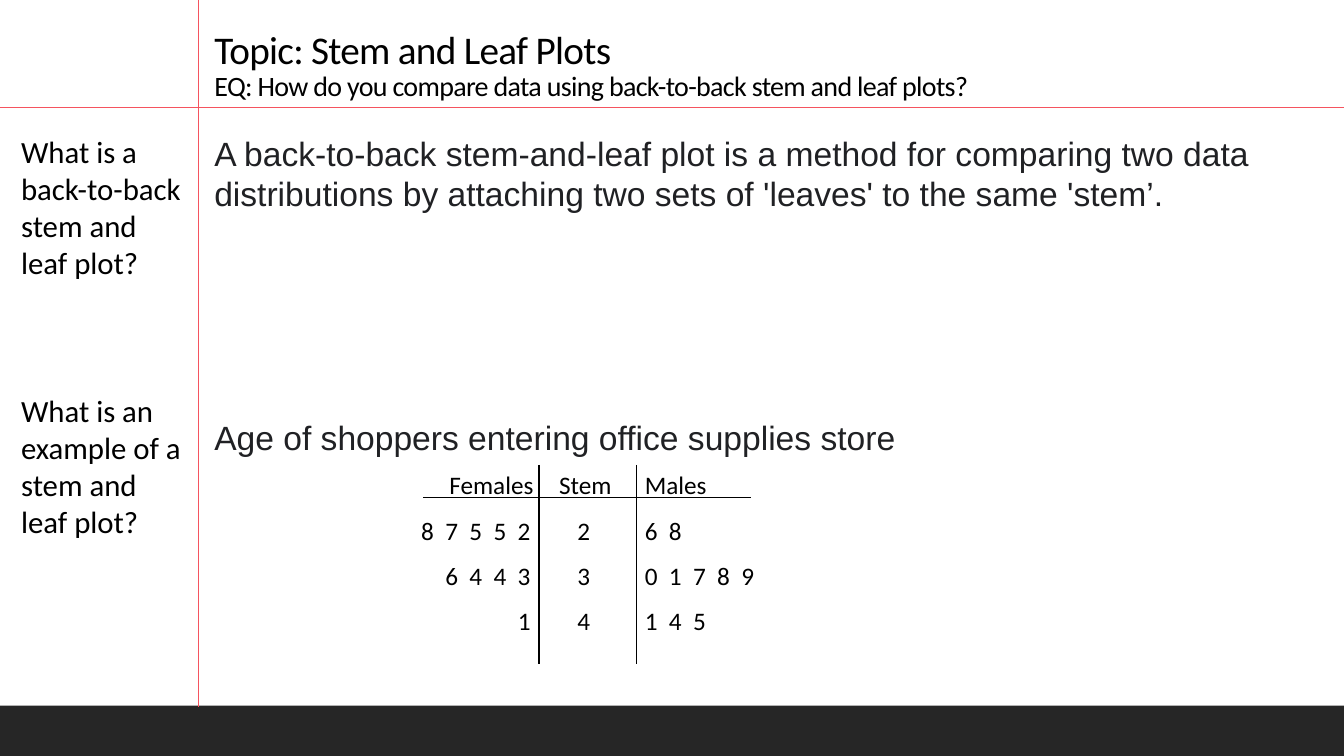
"""Build a notes slide on back-to-back stem and leaf plots."""
from dataclasses import dataclass

from lxml import etree
from pptx import Presentation
from pptx import util as u
from pptx.dml.color import RGBColor
from pptx.enum import shapes, text
from pptx.oxml import ns

COLORS = {"ink": "000000", "body": "202124", "margin": "F5535F", "footer": "262626"}
WIDTH, HEIGHT = 960, 540
PLOT_TABS = ((81, "r"), (118, "ctr"), (160.5, "l"))


@dataclass
class Line:
    x1: float
    y1: float
    x2: float
    y2: float
    color: str


@dataclass
class Notes:
    left: float
    top: float
    width: float
    height: float
    paragraphs: tuple[str, ...]
    font: str
    size: float
    color: str
    gap: float


@dataclass
class PlotRow:
    females: str
    stem: str
    males: str
    line_spacing: float = 1.5
    tracking: float = 2.03


LINES = (
    Line(142, 0, 142, 505, "margin"),
    Line(0, 77, WIDTH, 77, "margin"),
    Line(385, 332, 385, 474.5, "ink"),
    Line(454.5, 332, 454.5, 474.5, "ink"),
    Line(302.5, 355.5, 536.5, 355.5, "ink"),
)
NOTES = (
    Notes(8, 91.5, 134, 300,
          ("What is a back-to-back stem and leaf plot?",
           "What is an example of a stem and leaf plot?"),
          "Calibri", 22, "ink", 79.5),
    Notes(146, 91.5, 770, 262,
          ("A back-to-back stem-and-leaf plot is a method for comparing two data "
           "distributions by attaching two sets of 'leaves' to the same 'stem’.",
           "Age of shoppers entering office supplies store"),
          "Arial", 24, "body", 145),
)
PLOT = (
    PlotRow("Females", "Stem", "Males", 1, 0),
    PlotRow("8 7 5 5 2", "2", "6 8"),
    PlotRow("6 4 4 3", "3", "0 1 7 8 9"),
    PlotRow("1", "4", "1 4 5"),
)


def rgb(name: str) -> RGBColor:
    """Look up a named colour."""
    return RGBColor.from_string(COLORS[name])


def set_font(font, name: str, color: str, size: float | None = None) -> None:
    """Apply typeface, colour and, when given, size."""
    font.name = name
    font.color.rgb = rgb(color)
    if size:
        font.size = u.Pt(size)


def set_tracking(run, points: float) -> None:
    """Set the character spacing of a run."""
    run._r.get_or_add_rPr().set("spc", str(round(points * 100)))


def add_footer(slide) -> None:
    """Draw the dark band along the bottom."""
    shape = slide.shapes.add_shape(
        shapes.MSO_SHAPE.RECTANGLE, u.Pt(0), u.Pt(504), u.Pt(WIDTH), u.Pt(HEIGHT - 504))
    shape.shadow.inherit = False
    shape.fill.solid()
    shape.fill.fore_color.rgb = rgb("footer")
    shape.line.fill.background()


def add_line(slide, line: Line) -> None:
    """Draw one straight rule."""
    connector = slide.shapes.add_connector(
        shapes.MSO_CONNECTOR.STRAIGHT,
        u.Pt(line.x1), u.Pt(line.y1), u.Pt(line.x2), u.Pt(line.y2))
    connector.line.color.rgb = rgb(line.color)
    connector.line.width = u.Pt(1)
    etree.SubElement(connector._element.spPr, ns.qn("a:effectLst"))


def add_text_frame(slide, left: float, top: float, width: float, height: float):
    """Add a wrapping text box and return its frame."""
    frame = slide.shapes.add_textbox(
        u.Pt(left), u.Pt(top), u.Pt(width), u.Pt(height)).text_frame
    frame.word_wrap = True
    return frame


def add_notes(slide, notes: Notes) -> None:
    """Write a column of notes with an even gap between paragraphs."""
    frame = add_text_frame(slide, notes.left, notes.top, notes.width, notes.height)
    frame.text = "\n".join(notes.paragraphs)
    for index, paragraph in enumerate(frame.paragraphs):
        if index:
            paragraph.space_before = u.Pt(notes.gap)
        set_font(paragraph.font, notes.font, notes.color, notes.size)


def add_plot(slide, rows: tuple[PlotRow, ...]) -> None:
    """Write the stem and leaf rows on shared tab stops."""
    frame = add_text_frame(slide, 293, 332, 256, 124)
    frame.text = "\n".join(f"\t{row.females}\t{row.stem}\t{row.males}" for row in rows)
    for row, paragraph in zip(rows, frame.paragraphs):
        paragraph.line_spacing = row.line_spacing
        tab_list = etree.SubElement(paragraph._p.get_or_add_pPr(), ns.qn("a:tabLst"))
        for position, alignment in PLOT_TABS:
            etree.SubElement(tab_list, ns.qn("a:tab"),
                             pos=str(u.Pt(position)), algn=alignment)
        set_font(paragraph.font, "Calibri", "ink", 18)
        for run in paragraph.runs:
            set_tracking(run, row.tracking)


def format_title(title) -> None:
    """Place the title and write the topic above its question."""
    title.left, title.top = u.Pt(146), u.Pt(8.5)
    title.width, title.height = u.Pt(792), u.Pt(68.5)
    frame = title.text_frame
    frame.word_wrap = True
    frame.auto_size = text.MSO_AUTO_SIZE.NONE
    frame.vertical_anchor = text.MSO_ANCHOR.BOTTOM
    paragraph = frame.paragraphs[0]
    paragraph.text = ("Topic: Stem and Leaf Plots\v"
                      "EQ: How do you compare data using back-to-back stem and leaf plots?")
    paragraph.alignment = text.PP_ALIGN.LEFT
    paragraph.line_spacing = 0.9
    set_font(paragraph.font, "Calibri", "ink")
    for run, size in zip(paragraph.runs, (28, 20)):
        run.font.size = u.Pt(size)
        set_tracking(run, -0.5)


def main() -> None:
    """Assemble and save the slide."""
    presentation = Presentation()
    presentation.slide_width, presentation.slide_height = u.Pt(WIDTH), u.Pt(HEIGHT)
    slide = presentation.slides.add_slide(presentation.slide_layouts[5])
    format_title(slide.shapes.title)
    add_footer(slide)
    for line in LINES:
        add_line(slide, line)
    for notes in NOTES:
        add_notes(slide, notes)
    add_plot(slide, PLOT)
    presentation.save("out.pptx")


if __name__ == "__main__":
    main()
